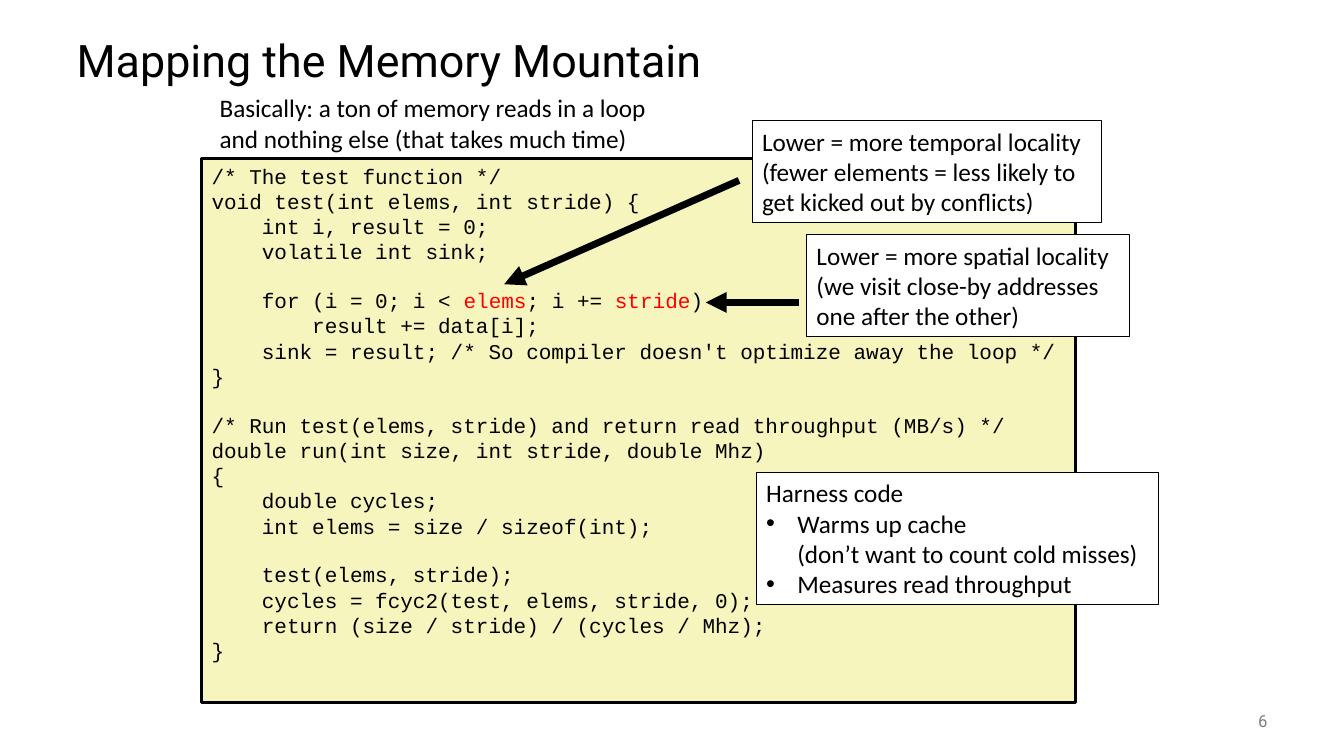
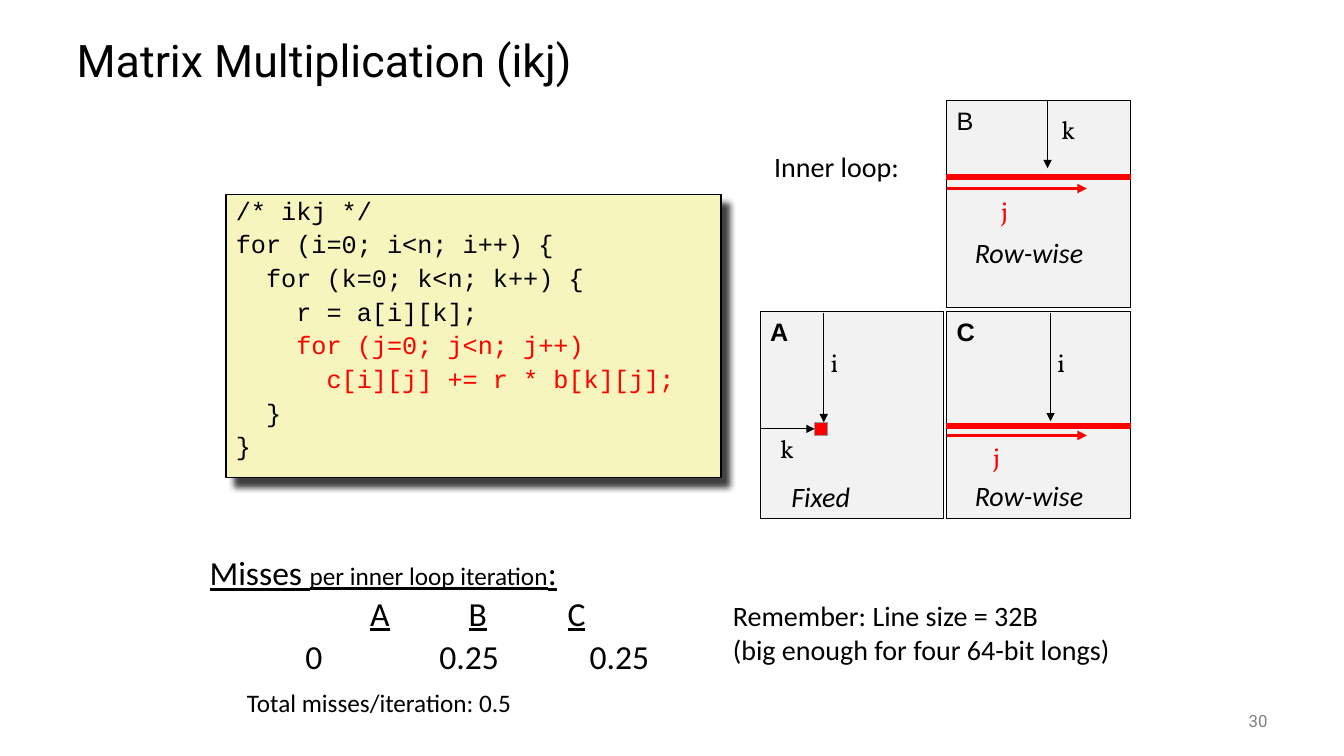
from lxml import etree
from pptx import Presentation
from pptx.dml.color import RGBColor
from pptx.enum import shapes, text
from pptx.oxml import ns
from pptx.util import Inches, Pt

COLORS = {"ink": "000000", "red": "FF0000", "paper": "FFFFFF", "code": "F6F5BD",
          "panel": "F2F2F2", "edge": "969696", "number": "808080"}

# Shared text styles
TITLE = {"name": "Roboto", "size": 32}
NUMBER = {"name": "Roboto", "size": 12, "color": "number"}
BODY = {"name": "Calibri", "size": 18}
NOTE = {**BODY, "size": 20}
CAPTION = {**NOTE, "italic": True}
FIGURE = {**BODY, "size": 24}
INDEX = {"name": "Vollkorn", "size": 18}
CODE_SMALL = {"name": "Courier New", "size": 15}
CODE_LARGE = {"name": "Courier New", "size": 18}
RED = {"color": "red"}
UNDERLINED = {"underline": True}

# Content of the memory mountain slide: a paragraph is a string or a list of runs
TEST_CODE = [
    "/* The test function */",
    "void test(int elems, int stride) {",
    "    int i, result = 0;",
    "    volatile int sink;",
    "",
    [("    for (i = 0; i < ", {}), ("elems", RED), ("; i += ", {}), ("stride", RED), (")", {})],
    "        result += data[i];",
    "    sink = result; /* So compiler doesn't optimize away the loop */",
    "}",
    "",
    "/* Run test(elems, stride) and return read throughput (MB/s) */",
    "double run(int size, int stride, double Mhz)",
    "{",
    "    double cycles;",
    "    int elems = size / sizeof(int);",
    "",
    "    test(elems, stride);",
    "    cycles = fcyc2(test, elems, stride, 0);",
    "    return (size / stride) / (cycles / Mhz);",
    "}",
]
SUMMARY = ["Basically: a ton of memory reads in a loop",
           "and nothing else (that takes much time)"]
CALLOUTS = [
    ((8, 2.33, 3.2, 1.01), ["Lower = more spatial locality",
                            "(we visit close-by addresses",
                            "one after the other)"]),
    ((7.46, 1.2, 3.47, 1.01), ["Lower = more temporal locality",
                               "(fewer elements = less likely to",
                               "get kicked out by conflicts)"]),
    ((7.5, 4.69, 3.99, 1.31), ["Harness code",
                               "• Warms up cache\v(don’t want to count cold misses)",
                               "• Measures read throughput"]),
]
CALLOUT_ARROWS = [((7.92, 3), (7, 3)), ((7.33, 1.79), (5, 2.82))]

# Content of the matrix slide
IKJ_CODE = [
    "/* ikj */",
    "for (i=0; i<n; i++) {",
    "  for (k=0; k<n; k++) {",
    "    r = a[i][k];",
    [("    for (j=0; j<n; j++)", RED)],
    [("      c[i][j] += r * b[k][j];", RED)],
    "  }",
    "}",
]
MISSES = [
    [("Misses ", UNDERLINED), ("per inner loop iteration", {"underline": True, "size": 18}),
     (":", UNDERLINED)],
    [("\t", {}), ("A", UNDERLINED), ("\t", {}), ("B", UNDERLINED), ("\t", {}), ("C", UNDERLINED)],
]
MISS_TABS = (1.69, 2.66, 3.64)
MISS_VALUES = [("0", 2.93, 0.37), ("0.25", 4.26, 0.8), ("0.25", 5.75, 0.8)]
REMINDER = ["Remember: Line size = 32B\v(big enough for four 64-bit longs)"]

# Matrix panels: name, column, row, bold
PANEL_LEFT, PANEL_TOP, PANEL_WIDTH, PANEL_HEIGHT = 7.54, 1, 1.82, 2.05
COLUMN_STEP, ROW_STEP = 1.85, 2.09
PANELS = [("A", 0, 1, True), ("B", 1, 0, False), ("C", 1, 1, True)]
SCANNED_ROWS = [(1.73, 1.87), (4.2, 4.32)]  # bar top, arrow height
DOWN_ARROWS = [(8.17, 3.11, 4.19), (10.42, 3.11, 4.18), (10.39, 1, 1.67)]
INDEX_LABELS = [("i", 8.14, 3.4, "ink"), ("k", 7.64, 4.25, "ink"), ("k", 10.43, 1.08, "ink"),
                ("j", 9.83, 1.89, "red"), ("i", 10.39, 3.4, "ink"), ("j", 9.75, 4.33, "red")]
CAPTIONS = [("Row-wise", 9.57, 4.7, 1.28), ("Fixed", 7.75, 4.71, 0.79),
            ("Row-wise", 9.57, 2.29, 1.28)]


def color(name):
    return RGBColor.from_string(COLORS[name])


def add_element(parent, tag, **attributes):
    return etree.SubElement(parent, ns.qn(tag), {key: str(value) for key, value in attributes.items()})


def set_bullet(paragraph):
    properties = paragraph._p.get_or_add_pPr()
    properties.set("marL", str(Inches(0.31)))
    properties.set("indent", str(-Inches(0.31)))
    add_element(properties, "a:buFont", typeface="Arial")
    add_element(properties, "a:buChar", char="•")


def set_tabs(paragraph, positions):
    tab_list = add_element(paragraph._p.get_or_add_pPr(), "a:tabLst")
    for position in positions:
        add_element(tab_list, "a:tab", pos=Inches(position), algn="ctr")


def add_run(paragraph, words, style):
    run = paragraph.add_run()
    run.text = words
    values = {**style, "size": Pt(style["size"])}
    run.font.color.rgb = color(values.pop("color", "ink"))
    for name, value in values.items():
        setattr(run.font, name, value)


def write(shape, paragraphs, style, wrap=True, anchor="TOP", align="LEFT",
          spacing=None, before=0, tabs=()):
    """Fill a shape; an empty line becomes space above the next paragraph."""
    frame = shape.text_frame
    frame.word_wrap = wrap
    frame.auto_size = text.MSO_AUTO_SIZE.NONE
    frame.vertical_anchor = getattr(text.MSO_ANCHOR, anchor)
    paragraph, gap = None, 0
    for content in paragraphs:
        if not content:
            gap = style["size"] * 1.13
            continue
        first = paragraph is None
        paragraph = frame.paragraphs[0] if first else frame.add_paragraph()
        runs = [(content, {})] if isinstance(content, str) else content
        if runs[0][0].startswith("• "):
            set_bullet(paragraph)
            runs = [(runs[0][0][2:], {})]
        if tabs:
            set_tabs(paragraph, tabs)
        paragraph.alignment = getattr(text.PP_ALIGN, align)
        if spacing:
            paragraph.line_spacing = spacing
        if not first and before + gap:
            paragraph.space_before = Pt(before + gap)
        gap = 0
        for words, changes in runs:
            for number, part in enumerate(words.split("\v")):
                if number:
                    paragraph.add_line_break()
                add_run(paragraph, part, {**style, **changes})


def add_text(slide, box, paragraphs, style, **layout):
    shape = slide.shapes.add_textbox(*map(Inches, box))
    write(shape, paragraphs, style, **layout)


def add_box(slide, box, fill, line="ink", width=0.75):
    shape = slide.shapes.add_shape(shapes.MSO_SHAPE.RECTANGLE, *map(Inches, box))
    shape.shadow.inherit = False
    shape.fill.solid()
    shape.fill.fore_color.rgb = color(fill)
    shape.line.color.rgb = color(line)
    shape.line.width = Pt(width)
    return shape


def add_arrow(slide, start, end, width=0.75, line="ink"):
    arrow = slide.shapes.add_connector(shapes.MSO_CONNECTOR.STRAIGHT,
                                       *map(Inches, (*start, *end)))
    arrow.line.color.rgb = color(line)
    arrow.line.width = Pt(width)
    add_element(arrow.line._get_or_add_ln(), "a:tailEnd", type="triangle")
    add_element(arrow._element.spPr, "a:effectLst")
    return arrow


def add_drop_shadow(shape):
    effects = shape._element.spPr.find(ns.qn("a:effectLst"))
    shadow = add_element(effects, "a:outerShdw", blurRad=Pt(5), dist=Pt(8.5),
                         dir=45 * 60000, algn="ctr", rotWithShape=0)
    tone = add_element(shadow, "a:srgbClr", val=COLORS["ink"])
    add_element(tone, "a:alpha", val=75000)


def add_slide(presentation, title, number):
    slide = presentation.slides.add_slide(presentation.slide_layouts.get_by_name("Title Only"))
    heading = slide.shapes.title
    for name, value in zip(("left", "top", "width", "height"), (0.66, 0.25, 12, 0.75)):
        setattr(heading, name, Inches(value))
    write(heading, [title], TITLE, anchor="MIDDLE", spacing=0.9)
    add_text(slide, (11.67, 6.95, 1, 0.4), [number], NUMBER, anchor="MIDDLE", align="RIGHT")
    return slide


def build_mountain(presentation):
    slide = add_slide(presentation, "Mapping the Memory Mountain", "6")
    code = add_box(slide, (2, 1.57, 8.67, 5.4), "code", width=2)
    write(code, TEST_CODE, CODE_SMALL)
    add_text(slide, (2.08, 0.87, 4.57, 0.71), SUMMARY, BODY, wrap=False)
    for box, lines in CALLOUTS:
        write(add_box(slide, box, "paper"), lines, BODY, wrap=False)
    for start, end in CALLOUT_ARROWS:
        add_arrow(slide, start, end, width=5)


def build_matrix(presentation):
    slide = add_slide(presentation, "Matrix Multiplication (ikj)", "30")

    # Code and miss counts
    code = add_box(slide, (2.24, 1.93, 4.91, 2.81), "code", width=1)
    add_drop_shadow(code)
    code.text_frame.margin_top = Inches(0.1)
    write(code, IKJ_CODE, CODE_LARGE, spacing=0.65, before=10)
    add_text(slide, (1.98, 5.43, 5.55, 0.9), MISSES, FIGURE, tabs=MISS_TABS)
    for value, left, width in MISS_VALUES:
        add_text(slide, (left, 6.26, width, 0.5), [value], FIGURE, wrap=False)
    add_text(slide, (2.35, 6.77, 3, 0.4), ["Total misses/iteration: 0.5"], BODY)
    add_text(slide, (7.17, 5.89, 4.17, 0.77), REMINDER, NOTE)
    add_text(slide, (7.58, 1.43, 1.45, 0.43), ["Inner loop:"], NOTE, wrap=False)

    # Matrix panels
    for name, column, row, bold in PANELS:
        panel = add_box(slide, (PANEL_LEFT + column * COLUMN_STEP, PANEL_TOP + row * ROW_STEP,
                                PANEL_WIDTH, PANEL_HEIGHT), "panel")
        write(panel, [name], {"name": "Arial", "size": 18, "bold": bold})

    # Access patterns
    row_left = PANEL_LEFT + COLUMN_STEP
    for bar_top, arrow_top in SCANNED_ROWS:
        add_box(slide, (row_left, bar_top, PANEL_WIDTH, 0.05), "red", "red")
        add_arrow(slide, (row_left, arrow_top), (row_left + 1.39, arrow_top), 2.25, "red")
    for left, top, bottom in DOWN_ARROWS:
        add_arrow(slide, (left, top), (left, bottom))
    element = add_box(slide, (8.08, 4.19, 0.13, 0.13), "red", "edge")
    middle = 4.19 + 0.13 / 2
    add_arrow(slide, (PANEL_LEFT, middle), (8.08, middle)).end_connect(element, 1)

    # Labels
    for name, left, top, tone in INDEX_LABELS:
        add_text(slide, (left, top, 0.4, 0.41), [name], {**INDEX, "color": tone})
    for caption, left, top, width in CAPTIONS:
        add_text(slide, (left, top, width, 0.43), [caption], CAPTION, wrap=False)


def main():
    presentation = Presentation()
    presentation.slide_width, presentation.slide_height = Inches(13.33), Inches(7.5)
    build_mountain(presentation)
    build_matrix(presentation)
    presentation.save("out.pptx")


if __name__ == "__main__":
    main()
